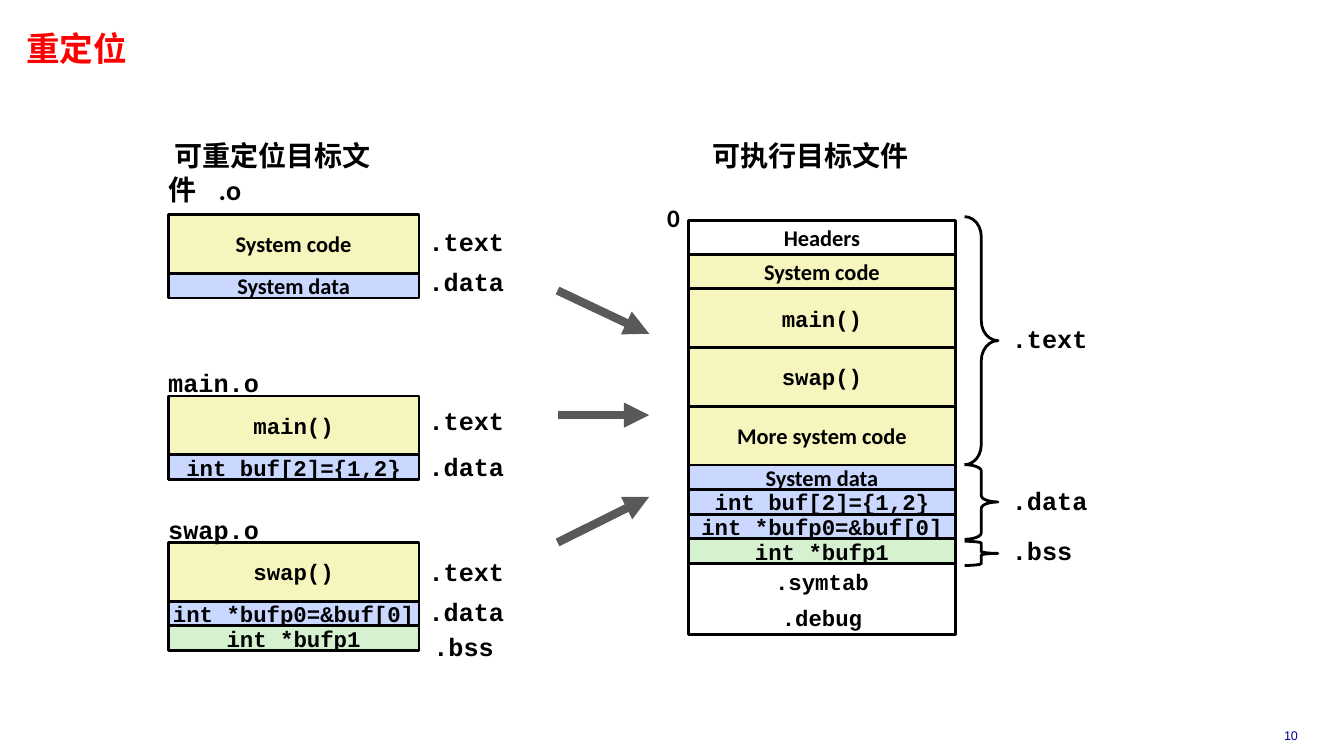
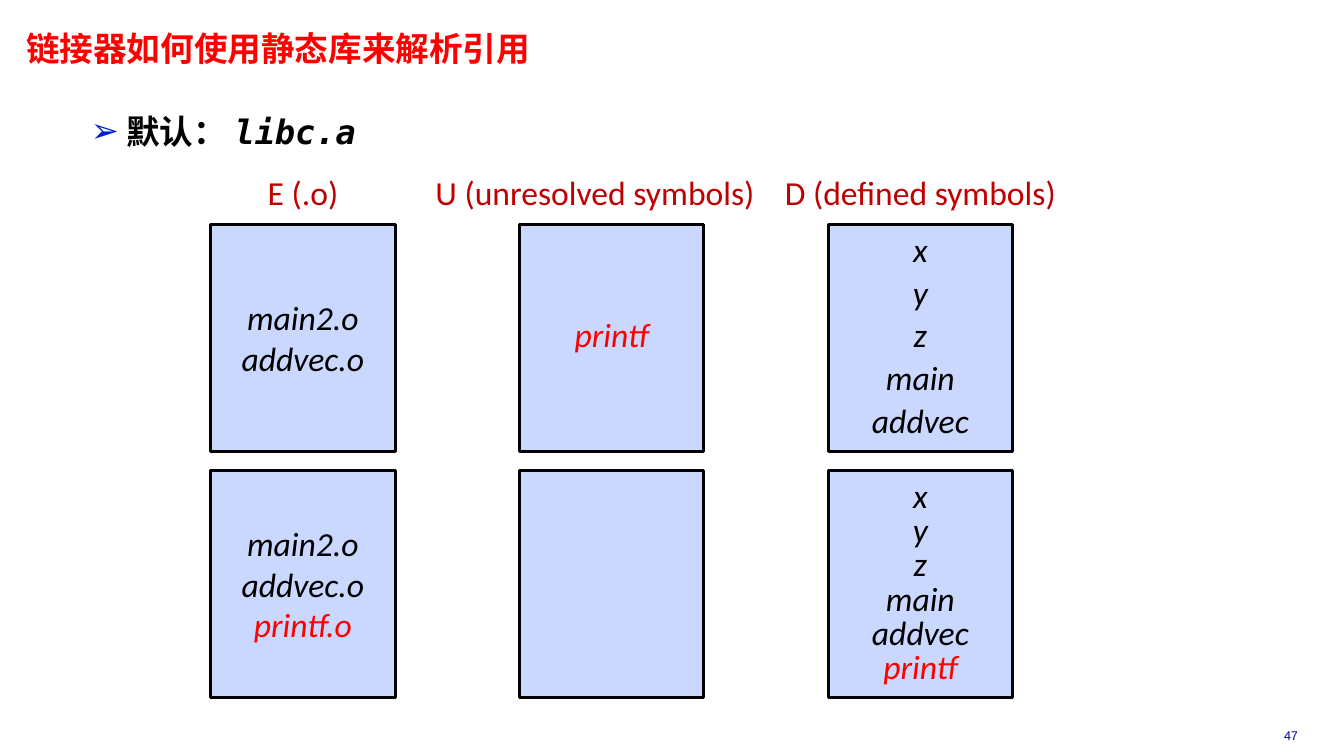
from lxml import etree
from pptx import Presentation
from pptx.dml.color import RGBColor
from pptx.enum.shapes import MSO_CONNECTOR as CONN, MSO_SHAPE as SHAPE
from pptx.enum.text import MSO_ANCHOR as ANCHOR, PP_ALIGN as ALIGN
from pptx.oxml.ns import qn
from pptx.util import Cm, Pt

BLACK = RGBColor(0x00, 0x00, 0x00)
WHITE = RGBColor(0xFF, 0xFF, 0xFF)
RED = RGBColor(0xFF, 0x00, 0x00)
DARK_RED = RGBColor(0xC0, 0x00, 0x00)
NAVY = RGBColor(0x00, 0x00, 0x99)
GRAY = RGBColor(0x59, 0x59, 0x59)
YELLOW = RGBColor(0xF6, 0xF5, 0xBD)
BLUE = RGBColor(0xCA, 0xD7, 0xFE)
GREEN = RGBColor(0xD5, 0xF1, 0xCF)
BULLET_BLUE = "001ADC"
CJK = "Noto Sans CJK SC"

# Run formats
TITLE = dict(name="Arial", size=Pt(24), bold=True, color=RED)
NUMBER = dict(name="Arial", size=Pt(9), color=NAVY)
HEADING = dict(name="Calibri", size=Pt(20), bold=True, color=BLACK)
ROW = dict(name="Calibri", size=Pt(16), bold=True, color=BLACK)
CODE_ROW = ROW | dict(name="Courier New")
ADDRESS = ROW | dict(size=Pt(18))
SECTION = CODE_ROW | dict(size=Pt(18))
BODY = dict(name="Calibri", size=Pt(24), bold=True, color=BLACK)
BODY_CODE = BODY | dict(name="DejaVu Sans Mono", italic=True)
SET_HEAD = dict(name="Calibri", size=Pt(24), color=DARK_RED)
ITEM = dict(name="Calibri", size=Pt(24), italic=True, color=BLACK)
NEW_ITEM = ITEM | dict(color=RED)

# Content of slide 10; lengths in cm
HEADER, CODE, DATA, TABLES = 0.86, 1.48, 0.62, 1.8  # row heights
SYSTEM_DATA = ("System data", ROW, BLUE, DATA)
MAIN = ("main()", CODE_ROW, YELLOW, CODE)
SWAP = ("swap()", CODE_ROW, YELLOW, CODE)
BUF = ("int buf[2]={1,2}", CODE_ROW, BLUE, DATA)
BUFP0 = ("int *bufp0=&buf[0]", CODE_ROW, BLUE, DATA)
BUFP1 = ("int *bufp1", CODE_ROW, GREEN, DATA)

OBJECT_FILES = [  # name, top, rows
    ("", 5.41, [("System code", ROW, YELLOW, CODE), SYSTEM_DATA]),
    ("main.o", 9.98, [MAIN, BUF]),
    ("swap.o", 13.67, [SWAP, BUFP0, BUFP1]),
]
EXECUTABLE = [
    ("Headers", ROW, WHITE, HEADER),
    ("System code", ROW, YELLOW, HEADER),
    MAIN,
    SWAP,
    ("More system code", ROW, YELLOW, CODE),
    SYSTEM_DATA,
    BUF,
    BUFP0,
    BUFP1,
    (".symtab\n.debug", CODE_ROW, WHITE, TABLES),
]
SECTION_LABELS = [  # text, left, top
    (".text", 10.8, 5.58), (".data", 10.8, 6.6),
    (".text", 10.8, 10.1), (".data", 10.8, 11.25),
    (".text", 10.8, 13.89), (".data", 10.8, 14.9), (".bss", 10.92, 15.79),
    (".text", 25.5, 8.02), (".data", 25.5, 12.11), (".bss", 25.5, 13.36),
]
BRACES = [(5.46, 6.25, 0.6), (11.71, 1.88, 0.19), (13.64, 0.61, 0.08)]  # top, height, curve
ARROWS = [(7.32, 8.41), (10.46, 10.46), (13.67, 12.52)]  # start y, end y

# Content of slide 47
SET_HEADS = [("E (.o)", 0), ("U (unresolved symbols)", -0.42), ("D (defined symbols)", 0)]
SYMBOLS = ["x", "y", "z", "main", "addvec"]
SET_ROWS = [  # per cell: known items, new items, line spacing, space before
    [(["main2.o", "addvec.o"], [], 1, 0), ([], ["printf"], 0.85, 0), (SYMBOLS, [], 0.85, 6)],
    [(["main2.o", "addvec.o"], ["printf.o"], 1, 0), ([], [], 1, 0), (SYMBOLS, ["printf"], 0.85, 0)],
]


def add_run(p, text, fmt):
    r = p.add_run()
    r.text = text
    for key, value in fmt.items():
        if key == "color":
            r.font.color.rgb = value
        else:
            setattr(r.font, key, value)
    etree.SubElement(r._r.get_or_add_rPr(), qn("a:ea"), typeface=CJK)


def write(sp, paras, align=ALIGN.LEFT, anchor=ANCHOR.MIDDLE, wrap=True, spacing=None, before=0):
    """Fill a shape; each paragraph is a list of (text, format) runs."""
    tf = sp.text_frame
    frame = dict(word_wrap=wrap, vertical_anchor=anchor, margin_left=0,
                 margin_right=0, margin_top=0, margin_bottom=0)
    for key, value in frame.items():
        setattr(tf, key, value)
    for i, runs in enumerate(paras):
        p = tf.add_paragraph() if i else tf.paragraphs[0]
        p.alignment = align
        if spacing:
            p.line_spacing = spacing
        if i and before:
            p.space_before = Pt(before)
        for text, fmt in runs:
            add_run(p, text, fmt)
    return tf.paragraphs[0]


def add_text(s, x, y, w, h, paras, **options):
    return write(s.shapes.add_textbox(Cm(x), Cm(y), Cm(w), Cm(h)), paras, **options)


def add_box(s, x, y, w, h, color, weight=2, kind=SHAPE.RECTANGLE):
    sp = s.shapes.add_shape(kind, Cm(x), Cm(y), Cm(w), Cm(h))
    sp.shadow.inherit = False
    if color is None:
        sp.fill.background()
    else:
        sp.fill.solid()
        sp.fill.fore_color.rgb = color
    sp.line.color.rgb = BLACK
    sp.line.width = Pt(weight)
    return sp


def add_stack(s, x, y, w, rows):
    for text, fmt, color, h in rows:
        paras = [[(line, fmt)] for line in text.split("\n")]
        write(add_box(s, x, y, w, h, color), paras, align=ALIGN.CENTER, before=6.4)
        y += h


def add_arrow(s, x1, y1, x2, y2):
    c = s.shapes.add_connector(CONN.STRAIGHT, Cm(x1), Cm(y1), Cm(x2), Cm(y2))
    c.line.color.rgb = GRAY
    c.line.width = Pt(6)
    etree.SubElement(c.line._get_or_add_ln(), qn("a:tailEnd"), type="triangle")
    etree.SubElement(c._element.spPr, qn("a:effectLst"))


def set_indent(p, left, first):
    pPr = p._p.get_or_add_pPr()
    pPr.set("marL", str(Cm(left)))
    pPr.set("indent", str(Cm(first)))
    return pPr


def new_slide(prs, title, number):
    s = prs.slides.add_slide(prs.slide_layouts[6])
    add_text(s, 0.66, 0.7, 19.6, 1.1, [[(title, TITLE)]], anchor=ANCHOR.TOP, spacing=Pt(29))
    add_text(s, 31.34, 18.21, 2.39, 0.64, [[(number, NUMBER)]], align=ALIGN.CENTER)
    return s


def relocation_slide(prs):
    s = new_slide(prs, "重定位", "10")

    # Column headings
    left_x, exe_x, exe_y = 4.24, 17.35, 5.56
    for x, text in [(left_x, "可重定位目标文件\t.o"), (17.8, "可执行目标文件")]:
        p = add_text(s, x, 3.5, 5.4, 1.8, [[(text, HEADING)]],
                     anchor=ANCHOR.TOP, spacing=Pt(24))
        pPr = set_indent(p, 0, 0.16)
        tabs = etree.SubElement(pPr, qn("a:tabLst"))
        etree.SubElement(tabs, qn("a:tab"), pos=str(Cm(1.21)), algn="l")

    # Object files and the executable
    for name, y, rows in OBJECT_FILES:
        add_stack(s, left_x, y, 6.32, rows)
        if name:
            add_text(s, left_x, y - 0.84, 2.8, 1, [[(name, SECTION)]], wrap=False)
    add_stack(s, exe_x, exe_y, 6.73, EXECUTABLE)
    add_text(s, 16.81, 4.98, 0.5, 1, [[("0", ADDRESS)]], wrap=False)

    # Section labels, braces and arrows
    for text, x, y in SECTION_LABELS:
        add_text(s, x, y, 2, 1, [[(text, SECTION)]], wrap=False)
    for y, h, curve in BRACES:
        brace = add_box(s, 24.31, y, 0.84, h, None, kind=SHAPE.RIGHT_BRACE)
        brace.adjustments[0] = curve
    for y1, y2 in ARROWS:
        add_arrow(s, 14.05, y1, 16.36, y2)


def library_slide(prs):
    s = new_slide(prs, "链接器如何使用静态库来解析引用", "47")

    # Bullet line
    p = add_text(s, 2.29, 2.76, 20, 1.2, [[("默认： ", BODY), ("libc.a", BODY_CODE)]],
                 anchor=ANCHOR.TOP, spacing=Pt(30))
    pPr = set_indent(p, 0.89, -0.89)
    color = etree.SubElement(pPr, qn("a:buClr"))
    etree.SubElement(color, qn("a:srgbClr"), val=BULLET_BLUE)
    etree.SubElement(pPr, qn("a:buFont"), typeface="Arial")
    etree.SubElement(pPr, qn("a:buChar"), char="➢")

    # Grid of linker sets
    x0, y0, dx, dy, w, h = 5.31, 5.65, 7.78, 6.2, 4.65, 5.72
    head_w = 9
    for col, (text, shift) in enumerate(SET_HEADS):
        x = x0 + col * dx + (w - head_w) / 2 + shift
        add_text(s, x, 4.28, head_w, 1.1, [[(text, SET_HEAD)]], align=ALIGN.CENTER)
    for row, cells in enumerate(SET_ROWS):
        for col, (known, new, spacing, before) in enumerate(cells):
            sp = add_box(s, x0 + col * dx, y0 + row * dy, w, h, BLUE, 2.25)
            paras = [[(t, ITEM)] for t in known] + [[(t, NEW_ITEM)] for t in new]
            if paras:
                write(sp, paras, align=ALIGN.CENTER, spacing=spacing, before=before)


def main():
    prs = Presentation()
    prs.slide_width, prs.slide_height = Cm(33.87), Cm(19.05)
    relocation_slide(prs)
    library_slide(prs)
    prs.save("out.pptx")


if __name__ == "__main__":
    main()
